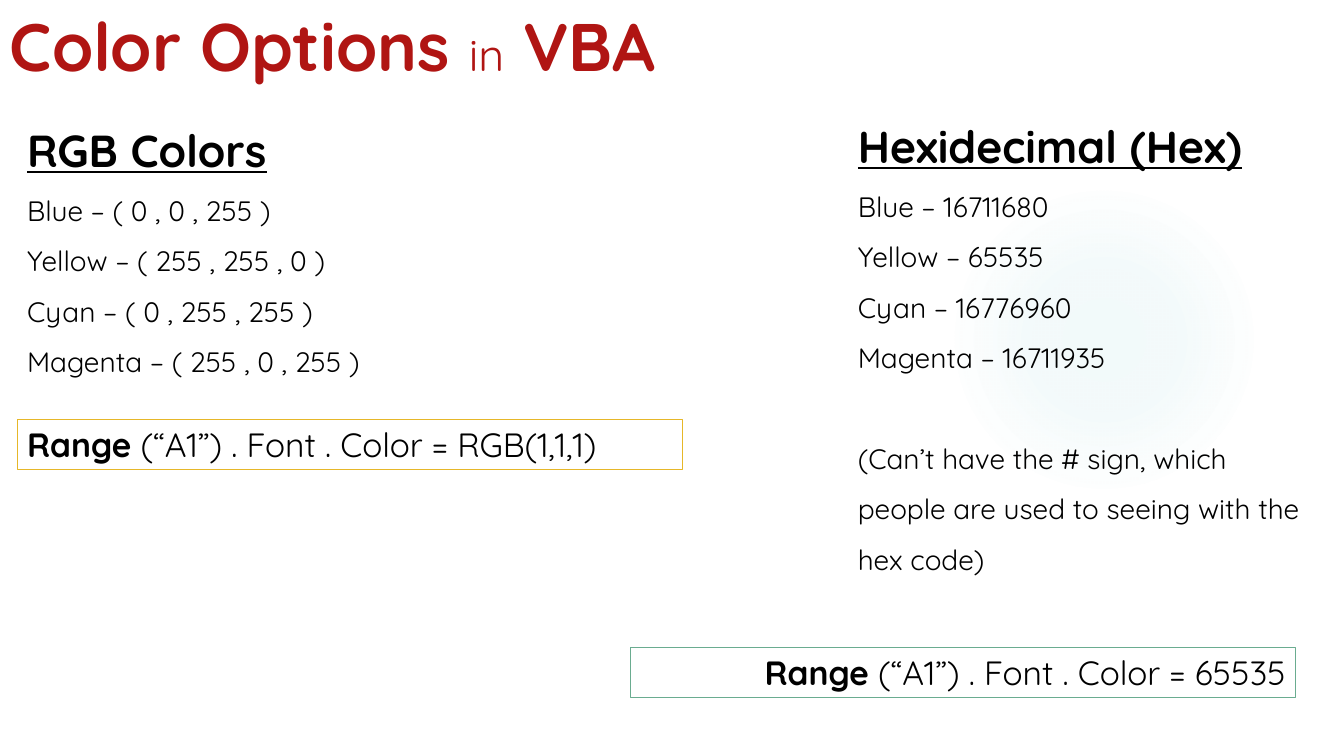
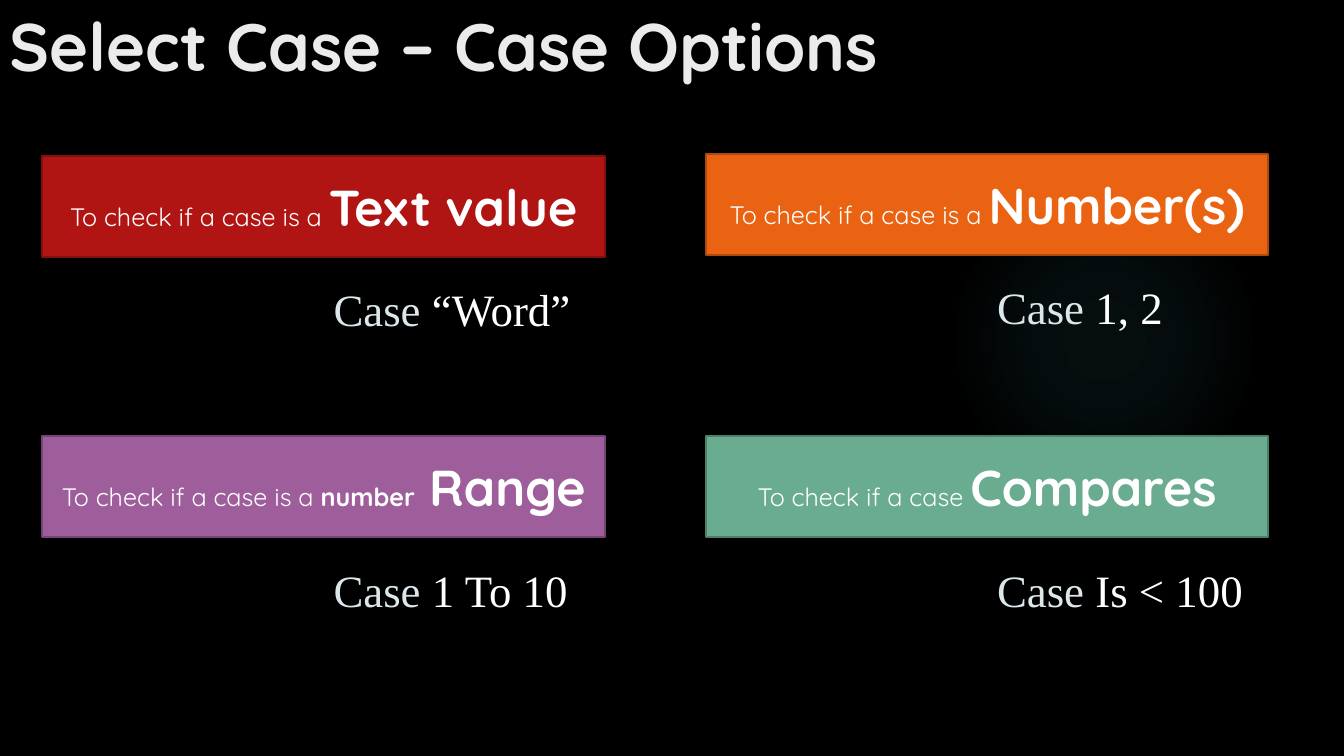
"""Build two slides on VBA colour options and Select Case options."""
from lxml.etree import SubElement
from pptx import Presentation
from pptx.dml.color import RGBColor
from pptx.enum.shapes import MSO_SHAPE as Shape
from pptx.enum.text import MSO_ANCHOR as Anchor, PP_ALIGN as Align
from pptx.oxml.ns import qn
from pptx.util import Pt

PX = 9144
SIZE = 1333, 750
BODY_FONT, CODE_FONT = "Quicksand", "Times New Roman"
RED, ORANGE, PURPLE, GREEN, GOLD = "B01513", "EA6312", "9E5E9B", "6AAC90", "E6B729"
BLACK, WHITE, PALE, KEYWORD = "000000", "FFFFFF", "EBEBEB", "DCE7EC"
TITLE_BOX = 0, -1, 1029, 101
GLOW_BOX = 941, 183, 308, 308
GLOW_COLOR = "50B9C1"
GLOW_STOPS = [(0, 7), (36, 6), (69, 0)]
BOLD = {"bold": True}
BIG = {"size": 36, "bold": True}

COLOR_TITLE = [("Color Options ", BOLD), ("in", {"size": 32}), (" VBA", BOLD)]
COLOR_LISTS = [
    ((17, 117, 375, 296), "RGB Colors",
     ["Blue – ( 0 , 0 , 255 )", "Yellow – ( 255 , 255 , 0 )",
      "Cyan – ( 0 , 255 , 255 )", "Magenta – ( 255 , 0 , 255 )"], None),
    ((841, 113, 467, 498), "Hexidecimal (Hex)",
     ["Blue – 16711680", "Yellow – 65535", "Cyan – 16776960", "Magenta – 16711935"],
     "(Can’t have the # sign, which people are used to seeing with the hex code)"),
]
CODE_LINES = [
    ((17, 416, 660, 50), "(“A1”) . Font . Color = RGB(1,1,1)", GOLD, Align.LEFT),
    ((625, 642, 660, 50), "(“A1”) . Font . Color = 65535", GREEN, Align.RIGHT),
]

CASE_TITLE = [("Select Case – Case Options", BOLD)]
CARD_SIZE = CARD_WIDTH, CARD_HEIGHT = 558, 100
EXAMPLE_DROP, EXAMPLE_HEIGHT = 120, 64
CASE_CARDS = [
    ((42, 155), RED, [("To check if a case is a ", {}), ("Text value", BIG)], " “Word”"),
    ((42, 433), PURPLE,
     [("To check if a case is a ", {}), ("number", BOLD), (" Range", BIG)], " 1 To 10"),
    ((700, 153), ORANGE, [("To check if a case is a ", {}), ("Number(s)", BIG)], " 1, 2"),
    ((700, 433), GREEN, [("To check if a case ", {}), ("Compares", BIG)], " Is < 100"),
]


def rgb(code):
    return RGBColor.from_string(code)


def darker(code, share=0.74):
    return "".join(f"{round(int(code[i:i + 2], 16) * share):02X}" for i in (0, 2, 4))


def emu(box):
    return [length * PX for length in box]


def add_shape(slide, kind, box, fill=None, line=None, weight=0.75):
    shape = slide.shapes.add_shape(kind, *emu(box))
    shape.shadow.inherit = False
    if fill:
        shape.fill.solid()
        shape.fill.fore_color.rgb = rgb(fill)
    else:
        shape.fill.background()
    if line:
        shape.line.color.rgb = rgb(line)
        shape.line.width = Pt(weight)
    else:
        shape.line.fill.background()
    return shape


def write(paragraph, runs, size, color=BLACK, font=BODY_FONT, align=Align.LEFT,
          spacing=None, before=0):
    paragraph.alignment = align
    if spacing:
        paragraph.line_spacing = spacing
    if before:
        paragraph.space_before = Pt(before)
    for text, style in runs:
        run = paragraph.add_run()
        run.text = text
        run.font.name = font
        run.font.size = Pt(style.get("size", size))
        run.font.bold = style.get("bold", False)
        run.font.underline = style.get("underline", False)
        run.font.color.rgb = rgb(style.get("color", color))


def text_frame(shape, anchor=Anchor.TOP):
    frame = shape.text_frame
    frame.word_wrap = True
    frame.vertical_anchor = anchor
    return frame


def add_text(slide, box, runs, **style):
    frame = text_frame(slide.shapes.add_textbox(*emu(box)))
    write(frame.paragraphs[0], runs, **style)
    return frame


def add_glow(slide):
    glow = add_shape(slide, Shape.OVAL, GLOW_BOX)
    properties = glow.fill._xPr
    empty_fill = properties.find(qn("a:noFill"))
    gradient = properties.makeelement(qn("a:gradFill"), {"rotWithShape": "1"})
    properties.replace(empty_fill, gradient)
    stops = SubElement(gradient, qn("a:gsLst"))
    for position, alpha in GLOW_STOPS:
        stop = SubElement(stops, qn("a:gs"), pos=str(position * 1000))
        color = SubElement(stop, qn("a:srgbClr"), val=GLOW_COLOR)
        SubElement(color, qn("a:alpha"), val=str(alpha * 1000))
    circle = SubElement(gradient, qn("a:path"), {"path": "circle"})
    SubElement(circle, qn("a:fillToRect"), {side: "50000" for side in "ltrb"})


def new_slide(deck, background, title, title_color):
    slide = deck.slides.add_slide(deck.slide_layouts[6])
    slide.background.fill.solid()
    slide.background.fill.fore_color.rgb = rgb(background)
    add_glow(slide)
    add_text(slide, TITLE_BOX, title, size=48, color=title_color)
    return slide


def color_slide(deck):
    slide = new_slide(deck, WHITE, COLOR_TITLE, RED)
    for box, heading, colors, note in COLOR_LISTS:
        frame = add_text(slide, box, [(heading, {"bold": True, "underline": True})], size=32)
        for color in colors:
            write(frame.add_paragraph(), [(color, {})], size=20, spacing=1.5)
        if note:
            write(frame.add_paragraph(), [(note, {})], size=20, spacing=1.5, before=36)
    for box, code, border, align in CODE_LINES:
        frame = text_frame(add_shape(slide, Shape.RECTANGLE, box, line=border), Anchor.MIDDLE)
        write(frame.paragraphs[0], [("Range ", BOLD), (code, {})], size=24, align=align)


def case_slide(deck):
    slide = new_slide(deck, BLACK, CASE_TITLE, PALE)
    for (left, top), fill, label, example in CASE_CARDS:
        card = add_shape(slide, Shape.RECTANGLE, (left, top, *CARD_SIZE), fill, darker(fill), 1.5)
        write(text_frame(card, Anchor.MIDDLE).paragraphs[0], label, size=18, color=WHITE,
              align=Align.CENTER)
        half = CARD_WIDTH // 2
        add_text(slide, (left + half, top + EXAMPLE_DROP, half, EXAMPLE_HEIGHT),
                 [("Case", {"color": KEYWORD}), (example, {})],
                 size=32, color=WHITE, font=CODE_FONT)


def main():
    deck = Presentation()
    deck.slide_width, deck.slide_height = emu(SIZE)
    color_slide(deck)
    case_slide(deck)
    deck.save("out.pptx")


if __name__ == "__main__":
    main()
